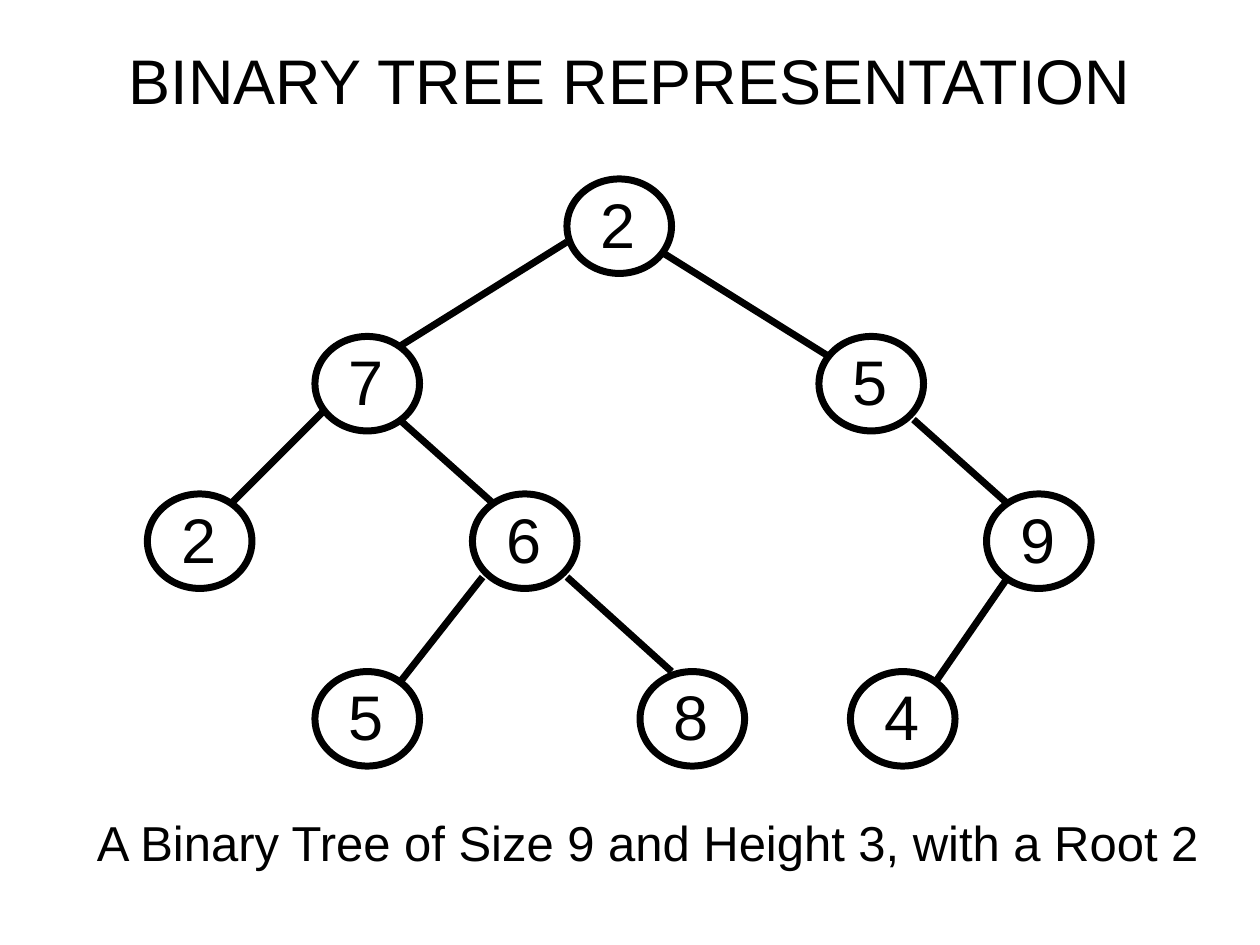
from dataclasses import dataclass

from lxml.etree import SubElement
from pptx import Presentation
from pptx.dml.color import RGBColor
from pptx.enum.shapes import MSO_CONNECTOR as Connector, MSO_SHAPE as Shape
from pptx.enum.text import MSO_ANCHOR as Anchor, MSO_AUTO_SIZE as AutoSize, PP_ALIGN as Align
from pptx.oxml.ns import qn
from pptx.util import Inches, Pt


@dataclass(frozen=True)
class Theme:
    font: str = "Arial"
    ink: RGBColor = RGBColor(0, 0, 0)
    heading_size: int = 36
    caption_size: int = 28
    line_width: int = 4


NODE_SIZE = (0.83, 0.75)
LABEL_SIZE = (0.48, 0.7)
LABEL_INDENT = 0.17
LEVEL_TOPS = (1.42, 2.67, 3.92, 5.33)

# For each level of the tree: (left, value)
LEVELS = (
    ((4.5, "2"),),
    ((2.5, "7"), (6.5, "5")),
    ((1.17, "2"), (3.75, "6"), (7.83, "9")),
    ((2.5, "5"), (5.08, "8"), (6.75, "4")),
)

# Parent end, child end
BRANCHES = (
    ((4.5, 1.92), (3.17, 2.75)),
    ((5.25, 2), (6.58, 2.83)),
    ((2.58, 3.25), (1.83, 4)),
    ((3.17, 3.33), (3.92, 4)),
    ((7.25, 3.33), (8, 4)),
    ((3.83, 4.58), (3.17, 5.42)),
    ((4.5, 4.58), (5.33, 5.33)),
    ((8, 4.58), (7.42, 5.42)),
)


class TreeSlide:
    def __init__(self, slide, theme):
        self.slide = slide
        self.theme = theme

    def set_text(self, frame, text, size, align=Align.LEFT):
        frame.text = text
        paragraph = frame.paragraphs[0]
        paragraph.alignment = align
        paragraph.font.name = self.theme.font
        paragraph.font.size = Pt(size)
        paragraph.font.color.rgb = self.theme.ink

    def style_line(self, line):
        line.color.rgb = self.theme.ink
        line.width = Pt(self.theme.line_width)

    def title(self, text, box):
        heading = self.slide.shapes.title
        heading.left, heading.top, heading.width, heading.height = map(Inches, box)
        heading.text_frame.vertical_anchor = Anchor.MIDDLE
        self.set_text(heading.text_frame, text, self.theme.heading_size, Align.CENTER)

    def label(self, shapes, text, box, size):
        """Add an unwrapped text to the slide's or a group's shapes."""
        frame = shapes.add_textbox(*map(Inches, box)).text_frame
        frame.word_wrap = False
        frame.auto_size = AutoSize.SHAPE_TO_FIT_TEXT
        self.set_text(frame, text, size)

    def node(self, value, left, top):
        """Add a ring grouped with its value."""
        members = self.slide.shapes.add_group_shape().shapes
        ring = members.add_shape(Shape.OVAL, *map(Inches, (left, top, *NODE_SIZE)))
        ring.shadow.inherit = False
        ring.fill.background()
        self.style_line(ring.line)
        self.label(members, value, (left + LABEL_INDENT, top, *LABEL_SIZE),
                   self.theme.heading_size)

    def branch(self, parent_end, child_end):
        edge = self.slide.shapes.add_connector(
            Connector.STRAIGHT, *map(Inches, (*parent_end, *child_end)))
        self.style_line(edge.line)
        SubElement(edge._element.spPr, qn("a:effectLst"))

    def caption(self, text, box):
        self.label(self.slide.shapes, text, box, self.theme.caption_size)


def main():
    deck = Presentation()
    deck.slide_width, deck.slide_height = Inches(10), Inches(7.5)
    title_only = deck.slide_layouts[5]
    tree = TreeSlide(deck.slides.add_slide(title_only), Theme())

    tree.title("BINARY TREE REPRESENTATION", (0.5, 0.17, 9, 0.92))
    for top, level in zip(LEVEL_TOPS, LEVELS):
        for left, value in level:
            tree.node(value, left, top)
    for parent_end, child_end in BRANCHES:
        tree.branch(parent_end, child_end)
    tree.caption("A Binary Tree of Size 9 and Height 3, with a Root 2",
                 (0.67, 6.4, 8.98, 0.57))

    deck.save("out.pptx")


if __name__ == "__main__":
    main()
